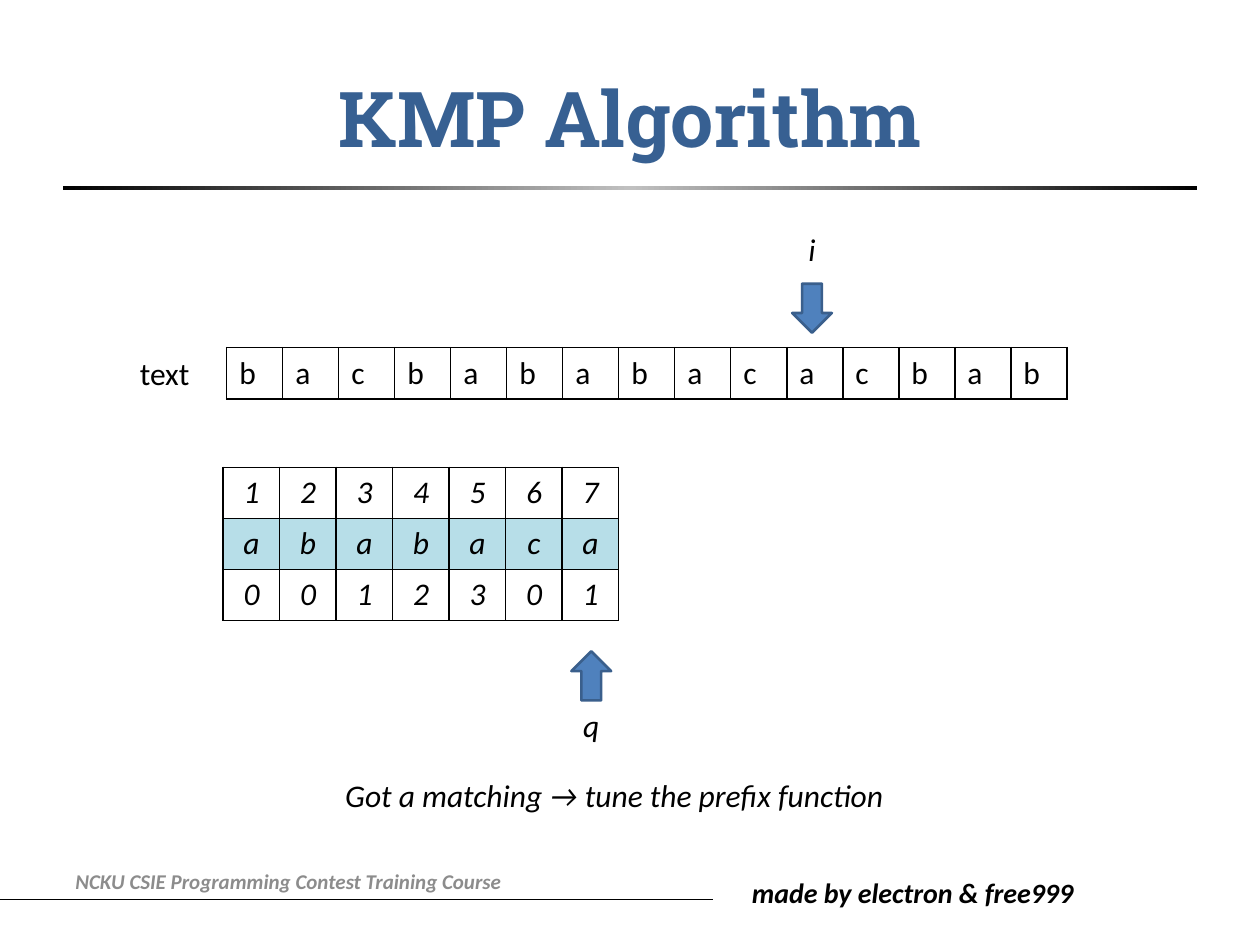
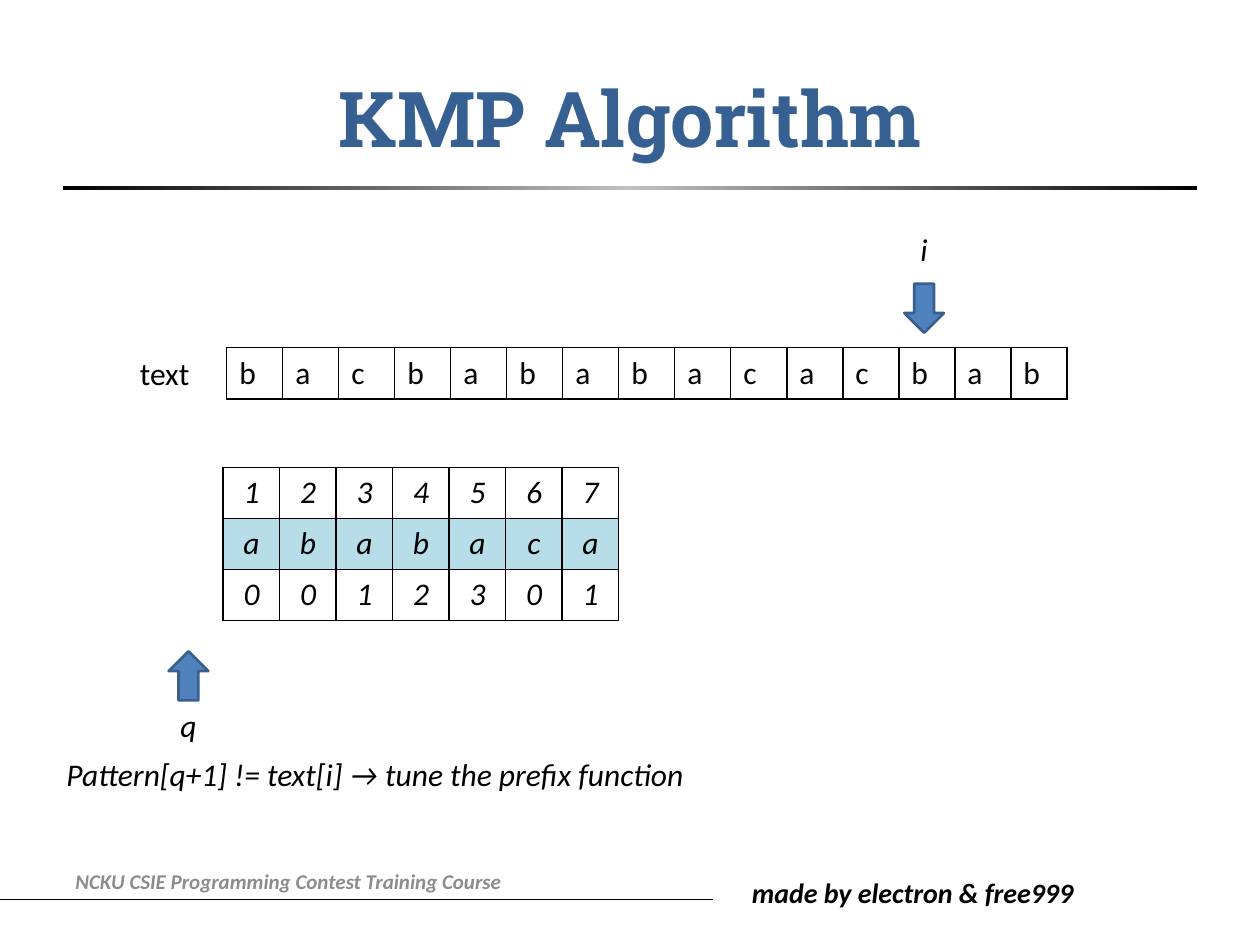
"""Build two slides that trace the KMP algorithm."""
from copy import deepcopy
from dataclasses import dataclass

from lxml import etree
from pptx import Presentation
from pptx import util as u
from pptx.dml.color import RGBColor
from pptx.enum import shapes, text
from pptx.oxml import ns


@dataclass(frozen=True)
class Theme:
    """Colours, fonts and type sizes."""
    title_font: str = "Roboto Slab"
    body_font: str = "Calibri"
    ink: str = "000000"
    title: str = "376092"
    muted: str = "8C8C8C"
    rule_middle: str = "C0C0C0"
    pattern_fill: str = "B7DEE8"
    arrow_fill: str = "4F81BD"
    arrow_line: str = "3A5F8C"
    title_size: int = 44
    body_size: int = 18
    credit_size: int = 16
    footer_size: int = 12


class Deck:
    """Hold the theme, the presentation and the current slide."""

    def __init__(self, theme):
        """Start an empty 4:3 presentation."""
        self.theme = theme
        self.presentation = Presentation()
        self.presentation.slide_width = u.Cm(25.4)
        self.presentation.slide_height = u.Cm(19.05)
        self.slide = None

    def add_slide(self, title):
        """Add a slide with its title, rule and footer."""
        theme = self.theme
        layout = self.presentation.slide_layouts[5]
        self.slide = self.presentation.slides.add_slide(layout)
        self.footer_line()
        self.text("made by electron & free999", 14.91, 17.53, 7.52, 0.94,
                  size=theme.credit_size, bold=True, italic=True)
        self.title_rule()
        self.title(title)
        self.text("NCKU CSIE Programming Contest Training Course",
                  1.27, 17.25, 12.83, 1.02, size=theme.footer_size,
                  color=theme.muted, bold=True, italic=True,
                  anchor=text.MSO_ANCHOR.MIDDLE)

    def style(self, paragraph, size=None, color=None, name=None,
              bold=False, italic=False, align=text.PP_ALIGN.LEFT):
        """Set the font and alignment of a paragraph."""
        font = paragraph.font
        font.name = name or self.theme.body_font
        font.size = u.Pt(size or self.theme.body_size)
        font.bold, font.italic = bold, italic
        font.color.rgb = RGBColor.from_string(color or self.theme.ink)
        paragraph.alignment = align

    def title(self, words):
        """Place and format the title placeholder."""
        shape = self.slide.shapes.title
        shape.left, shape.top = u.Cm(1.27), u.Cm(0.76)
        shape.width, shape.height = u.Cm(22.86), u.Cm(3.18)
        frame = shape.text_frame
        frame.text = words
        frame.vertical_anchor = text.MSO_ANCHOR.MIDDLE
        self.style(frame.paragraphs[0], self.theme.title_size,
                   self.theme.title, self.theme.title_font, bold=True,
                   align=text.PP_ALIGN.CENTER)

    def text(self, words, left, top, width, height=1.02,
             anchor=text.MSO_ANCHOR.TOP, **style):
        """Add a text box of one paragraph."""
        shape = self.slide.shapes.add_textbox(
            u.Cm(left), u.Cm(top), u.Cm(width), u.Cm(height))
        frame = shape.text_frame
        frame.word_wrap = True
        frame.vertical_anchor = anchor
        frame.text = words
        self.style(frame.paragraphs[0], **style)

    def footer_line(self):
        """Draw the thin line under the footer."""
        line = self.slide.shapes.add_connector(
            shapes.MSO_CONNECTOR.STRAIGHT,
            u.Cm(0), u.Cm(18.14), u.Cm(14.38), u.Cm(18.14))
        line.line.color.rgb = RGBColor.from_string(self.theme.ink)
        line.line.width = u.Pt(0.5)
        etree.SubElement(line._element.spPr, ns.qn("a:effectLst"))

    def shape(self, kind, left, top, width, height):
        """Add a preset shape without a shadow."""
        shape = self.slide.shapes.add_shape(
            kind, u.Cm(left), u.Cm(top), u.Cm(width), u.Cm(height))
        shape.shadow.inherit = False
        return shape

    def title_rule(self):
        """Draw the rule that fades to grey at its middle."""
        rule = self.shape(shapes.MSO_SHAPE.RECTANGLE, 1.27, 3.76, 22.86, 0.08)
        rule.line.fill.background()
        rule.fill.gradient()
        rule.fill.gradient_angle = 0
        stop_list = rule._element.spPr.find(".//" + ns.qn("a:gsLst"))
        stop_list.insert(1, deepcopy(stop_list[0]))
        colors = (self.theme.ink, self.theme.rule_middle, self.theme.ink)
        for index, (stop, color) in enumerate(
                zip(rule.fill.gradient_stops, colors)):
            stop.position = index / 2
            stop.color.rgb = RGBColor.from_string(color)

    def pointer(self, name, center, arrow_top, label_top, kind):
        """Add a block arrow and the name of its index."""
        arrow = self.shape(kind, center - 0.4, arrow_top, 0.8, 0.99)
        arrow.fill.solid()
        arrow.fill.fore_color.rgb = RGBColor.from_string(self.theme.arrow_fill)
        arrow.line.color.rgb = RGBColor.from_string(self.theme.arrow_line)
        arrow.line.width = u.Pt(1.5)
        self.text(name, center - 0.5, label_top, 1, italic=True,
                  align=text.PP_ALIGN.CENTER)

    def table(self, rows, left, top, column_width, row_height=1.03,
              filled_row=None, **style):
        """Add a bordered table with at most one filled row."""
        table = self.slide.shapes.add_table(
            len(rows), len(rows[0]), u.Cm(left), u.Cm(top),
            u.Cm(column_width * len(rows[0])),
            u.Cm(row_height * len(rows))).table
        table.first_row = table.horz_banding = False
        for column in table.columns:
            column.width = u.Cm(column_width)
        for row_index, values in enumerate(rows):
            table.rows[row_index].height = u.Cm(row_height)
            for column_index, value in enumerate(values):
                cell = table.cell(row_index, column_index)
                cell.text = value
                self.style(cell.text_frame.paragraphs[0], **style)
                self.borders(cell)
                if row_index == filled_row:
                    cell.fill.solid()
                    cell.fill.fore_color.rgb = RGBColor.from_string(
                        self.theme.pattern_fill)
                else:
                    cell.fill.background()

    def borders(self, cell):
        """Give a cell a one-point line on each side."""
        properties = cell._tc.get_or_add_tcPr()
        for side in ("lnL", "lnR", "lnT", "lnB"):
            line = etree.SubElement(properties, ns.qn(f"a:{side}"),
                                    w=str(u.Pt(1)))
            fill = etree.SubElement(line, ns.qn("a:solidFill"))
            etree.SubElement(fill, ns.qn("a:srgbClr"), val=self.theme.ink)


def add_step(deck, text_center, pattern_center, caption, left, top):
    """Add one step of the search with both pointers."""
    deck.add_slide("KMP Algorithm")
    deck.table(["1234567", "ababaca", "0012301"], 4.5, 9.42, 1.14,
               filled_row=1, italic=True, align=text.PP_ALIGN.CENTER)
    deck.table(["bacbababacacbab"], 4.57, 7.01, 1.13)
    deck.text("text", 2.57, 7.01, 2.01)
    deck.pointer("i", text_center, 5.72, 4.52, shapes.MSO_SHAPE.DOWN_ARROW)
    deck.pointer("q", pattern_center, 13.13, 14.1, shapes.MSO_SHAPE.UP_ARROW)
    deck.text(caption, left, top, 14.4, italic=True)


def main():
    """Build both steps and save them."""
    deck = Deck(Theme())
    add_step(deck, 16.37, 11.92,
             "Got a matching → tune the prefix function", 6.71, 15.52)
    add_step(deck, 18.63, 3.8,
             "Pattern[q+1] != text[i] → tune the prefix function", 1.09, 15.09)
    deck.presentation.save("out.pptx")


if __name__ == "__main__":
    main()
